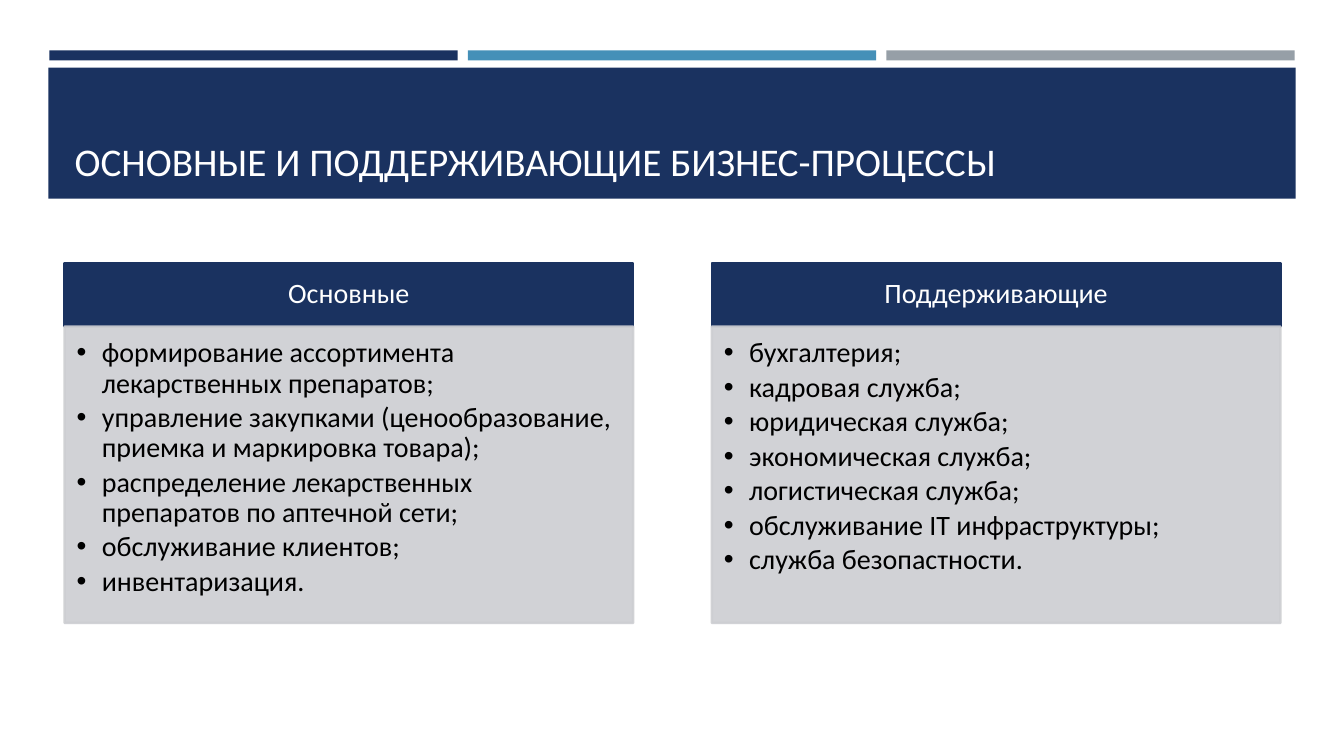
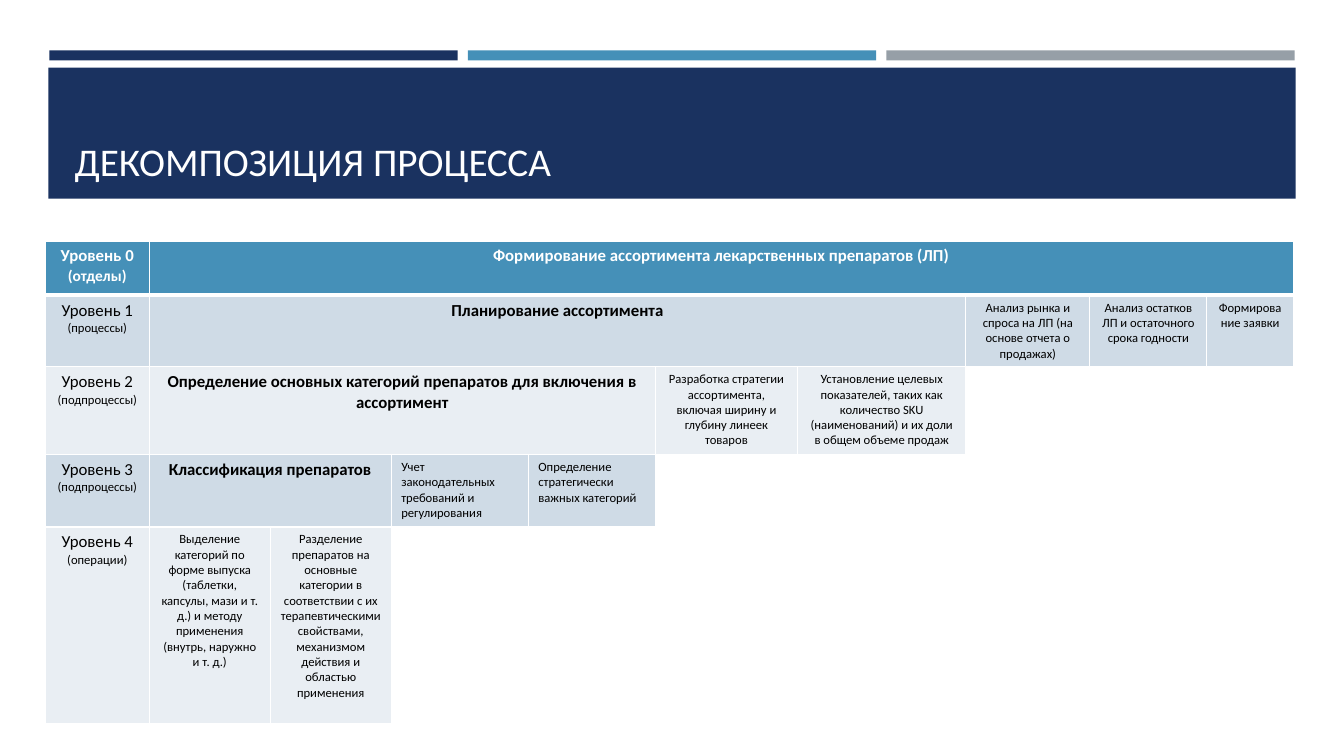
from dataclasses import dataclass

from lxml import etree
from pptx import Presentation
from pptx.dml.color import RGBColor
from pptx.enum import shapes, text
from pptx.oxml import ns
from pptx.util import Pt

PX = 9144


@dataclass(frozen=True)
class Theme:
    font: str = "Calibri"
    navy: str = "1A3260"
    blue: str = "4590B8"
    grey: str = "969FA7"
    panel: str = "CDCED2"
    band_dark: str = "CFDBE6"
    band_light: str = "E9EEF3"
    white: str = "FFFFFF"
    black: str = "000000"
    title: int = 28
    body: int = 20
    level: int = 12
    header_note: int = 11
    step: int = 9


THEME = Theme()
TITLE_BOX = (64, 77, 1206, 111)
BANDS = [((48, 67, 1237, 130), THEME.navy)] + [
    ((49 + 415 * i, 50, 405, 10), colour)
    for i, colour in enumerate((THEME.navy, THEME.blue, THEME.grey))
]

PROCESSES_TITLE = "ОСНОВНЫЕ И ПОДДЕРЖИВАЮЩИЕ БИЗНЕС-ПРОЦЕССЫ"
PROCESSES = [
    ("Основные", [
        "формирование ассортимента лекарственных препаратов;",
        "управление закупками (ценообразование, приемка и маркировка товара);",
        "распределение лекарственных препаратов по аптечной сети;",
        "обслуживание клиентов;",
        "инвентаризация.",
    ]),
    ("Поддерживающие", [
        "бухгалтерия;",
        "кадровая служба;",
        "юридическая служба;",
        "экономическая служба;",
        "логистическая служба;",
        "обслуживание IT инфраструктуры;",
        "служба безопастности.",
    ]),
]
COLUMN_LEFT, COLUMN_STEP, COLUMN_WIDTH = 64, 642, 564
HEAD_TOP, HEAD_HEIGHT, LIST_HEIGHT = 261, 63, 294

DECOMPOSITION_TITLE = "ДЕКОМПОЗИЦИЯ ПРОЦЕССА"
LEVELS = [
    ("(отделы)", "Формирование ассортимента лекарственных препаратов (ЛП)", []),
    ("(процессы)", "Планирование ассортимента", [
        "Анализ рынка и спроса на ЛП (на основе отчета о продажах)",
        "Анализ остатков ЛП и остаточного срока годности",
        "Формирование заявки",
    ]),
    ("(подпроцессы)", "Определение основных категорий препаратов для включения в ассортимент", [
        "Разработка стратегии ассортимента, включая ширину и глубину линеек товаров",
        "Установление целевых показателей, таких как количество SKU (наименований) "
        "и их доли в общем объеме продаж",
    ]),
    ("(подпроцессы)", "Классификация препаратов", [
        "Учет законодательных требований и регулирования",
        "Определение стратегически важных категорий",
    ]),
    ("(операции)", "", [
        "Выделение категорий по форме выпуска (таблетки, капсулы, мази и т. д.) "
        "и методу применения (внутрь, наружно и т. д.)",
        "Разделение препаратов на основные категории в соответствии с их "
        "терапевтическими свойствами, механизмом действия и областью применения",
    ]),
]
LEFT_ALIGNED_LEVEL = 3
TABLE_LEFT, TABLE_TOP = 45, 239
TABLE_COLUMNS = [103, 120, 120, 136, 126, 141, 167, 123, 116, 86]
TABLE_ROWS = [54, 57, 87, 72, 195]


def px(values):
    return [value * PX for value in values]


def apply(target, **formats):
    for name, value in formats.items():
        setattr(target, name, value)


def place(shape, box):
    apply(shape, **dict(zip(("left", "top", "width", "height"), px(box))))


def paint(shape, colour, line_width=0):
    shape.fill.solid()
    shape.fill.fore_color.rgb = RGBColor.from_string(colour)
    if line_width:
        shape.line.color.rgb = RGBColor.from_string(colour)
        shape.line.width = Pt(line_width)
    else:
        shape.line.fill.background()


def write(frame, lines, colour, align, **spacing):
    for i, (words, size, bold) in enumerate(lines):
        paragraph = frame.paragraphs[0] if i == 0 else frame.add_paragraph()
        apply(paragraph, alignment=align, space_before=Pt(0), **spacing)
        run = paragraph.add_run()
        run.text = words
        apply(run.font, name=THEME.font, size=Pt(size), bold=bold)
        run.font.color.rgb = RGBColor.from_string(colour)


def set_frame(frame, anchor, insets):
    sides = ("margin_left", "margin_top", "margin_right", "margin_bottom")
    apply(frame, word_wrap=True, auto_size=text.MSO_AUTO_SIZE.NONE,
          vertical_anchor=anchor, **dict(zip(sides, px(insets))))


def add_titled_slide(deck, layout, title):
    slide = deck.slides.add_slide(deck.slide_layouts.get_by_name(layout))
    place(slide.shapes.title, TITLE_BOX)
    frame = slide.shapes.title.text_frame
    set_frame(frame, text.MSO_ANCHOR.BOTTOM, (10, 5, 10, 5))
    write(frame, [(title, THEME.title, False)], THEME.white, text.PP_ALIGN.LEFT)
    return slide


def move_bands_to_master(deck, slide):
    bands = []
    for box, colour in BANDS:
        band = slide.shapes.add_shape(shapes.MSO_SHAPE.RECTANGLE, *px(box))
        band.shadow.inherit = False
        paint(band, colour)
        bands.append(band)
    for i, band in enumerate(bands):
        deck.slide_master.shapes.element.insert(2 + i, band.element)


def make_translucent(shape, percent):
    for colour in list(shape.element.spPr.iter(ns.qn("a:srgbClr"))):
        etree.SubElement(colour, ns.qn("a:alpha")).set("val", str(percent * 1000))


def fill_processes(slide):
    for i, (heading, items) in enumerate(PROCESSES):
        left = COLUMN_LEFT + i * COLUMN_STEP
        head, listing = (slide.placeholders[2 * i + k] for k in (1, 2))
        place(head, (left, HEAD_TOP, COLUMN_WIDTH, HEAD_HEIGHT))
        paint(head, THEME.navy, 1.75)
        set_frame(head.text_frame, text.MSO_ANCHOR.MIDDLE, (16, 9, 16, 9))
        write(head.text_frame, [(heading, THEME.body, False)], THEME.white,
              text.PP_ALIGN.CENTER, line_spacing=0.9)

        place(listing, (left, HEAD_TOP + HEAD_HEIGHT, COLUMN_WIDTH, LIST_HEIGHT))
        paint(listing, THEME.panel, 1.75)
        make_translucent(listing, 90)
        set_frame(listing.text_frame, text.MSO_ANCHOR.TOP, (12, 12, 16, 17))
        write(listing.text_frame, [(item, THEME.body, False) for item in items],
              THEME.black, text.PP_ALIGN.LEFT, line_spacing=0.9, space_after=Pt(3))
        for paragraph in listing.text_frame.paragraphs:
            properties = paragraph._p.get_or_add_pPr()
            properties.set("marL", str(25 * PX))
            properties.set("indent", str(-25 * PX))


def set_borders(cell, row):
    properties = cell._tc.get_or_add_tcPr()
    for side in "LRTB":
        heavy = (row, side) in ((0, "B"), (1, "T"))
        line = etree.SubElement(properties, ns.qn(f"a:ln{side}"), w=str(Pt(3 if heavy else 1)))
        fill = etree.SubElement(line, ns.qn("a:solidFill"))
        etree.SubElement(fill, ns.qn("a:srgbClr"), val=THEME.white)


def fill_decomposition(slide):
    size = (sum(TABLE_COLUMNS), sum(TABLE_ROWS))
    table = slide.shapes.add_table(len(TABLE_ROWS), len(TABLE_COLUMNS),
                                   *px((TABLE_LEFT, TABLE_TOP, *size))).table
    for column, width in zip(table.columns, px(TABLE_COLUMNS)):
        column.width = width
    for row, height in zip(table.rows, px(TABLE_ROWS)):
        row.height = height

    last = len(TABLE_COLUMNS) - 1
    reach = last
    for r, (note, main, steps) in enumerate(LEVELS):
        header = r == 0
        band = THEME.blue if header else (THEME.band_light, THEME.band_dark)[r % 2]
        colour = THEME.white if header else THEME.black
        note_size = THEME.header_note if header else THEME.step
        step_align = text.PP_ALIGN.LEFT if r == LEFT_ALIGNED_LEVEL else text.PP_ALIGN.CENTER
        end = reach
        reach -= len(steps)

        for c in range(last + 1):
            cell = table.cell(r, c)
            set_borders(cell, r)
            if c <= end:
                cell.fill.solid()
                cell.fill.fore_color.rgb = RGBColor.from_string(band)
            else:
                cell.fill.background()

        write(table.cell(r, 0).text_frame,
              [(f"Уровень {r}", THEME.level, header), (note, note_size, header)],
              colour, text.PP_ALIGN.CENTER)
        if main:
            table.cell(r, 1).merge(table.cell(r, reach))
            write(table.cell(r, 1).text_frame, [(main, THEME.level, True)],
                  colour, text.PP_ALIGN.CENTER)
        for c, step in enumerate(steps, reach + 1):
            write(table.cell(r, c).text_frame, [(step, THEME.step, False)], colour, step_align)
        if end < last:
            table.cell(r, end + 1).merge(table.cell(r, last))


def main():
    deck = Presentation()
    deck.slide_width, deck.slide_height = px((1333, 750))
    processes = add_titled_slide(deck, "Comparison", PROCESSES_TITLE)
    move_bands_to_master(deck, processes)
    fill_processes(processes)
    fill_decomposition(add_titled_slide(deck, "Title Only", DECOMPOSITION_TITLE))
    deck.save("out.pptx")


if __name__ == "__main__":
    main()
